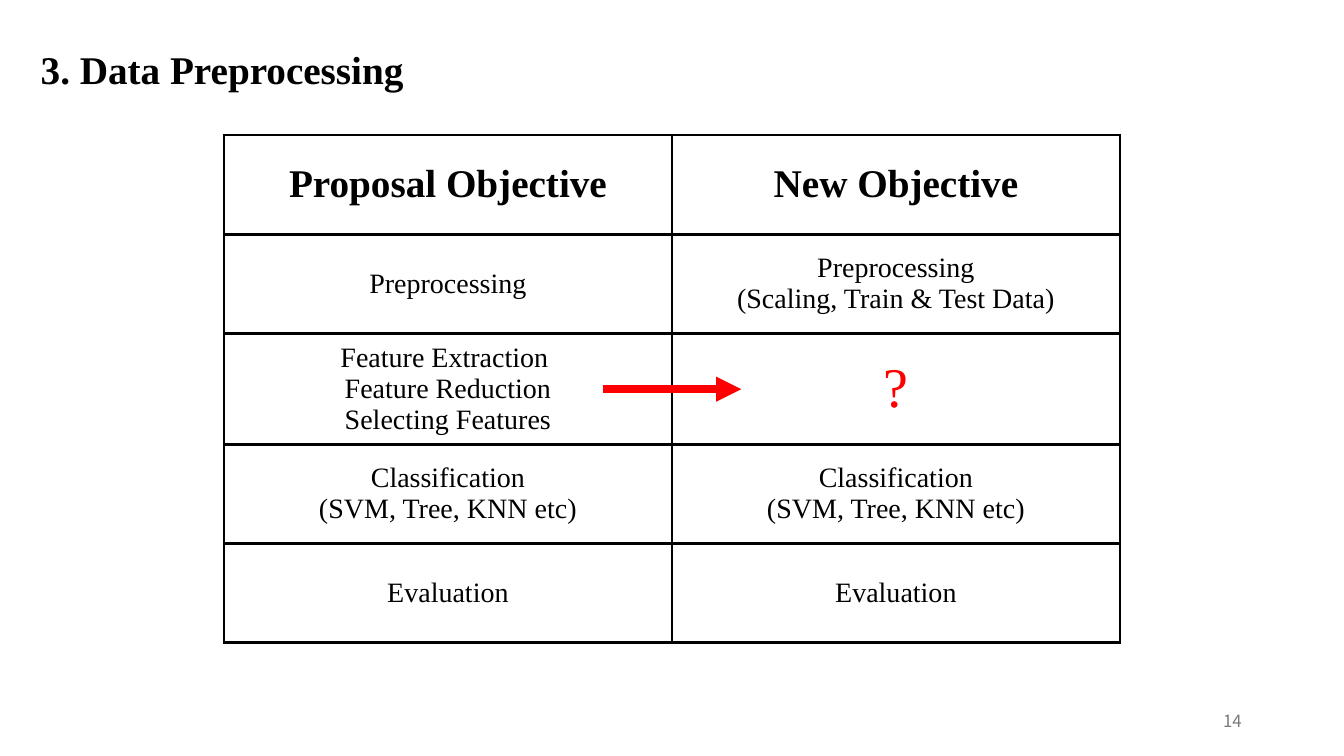
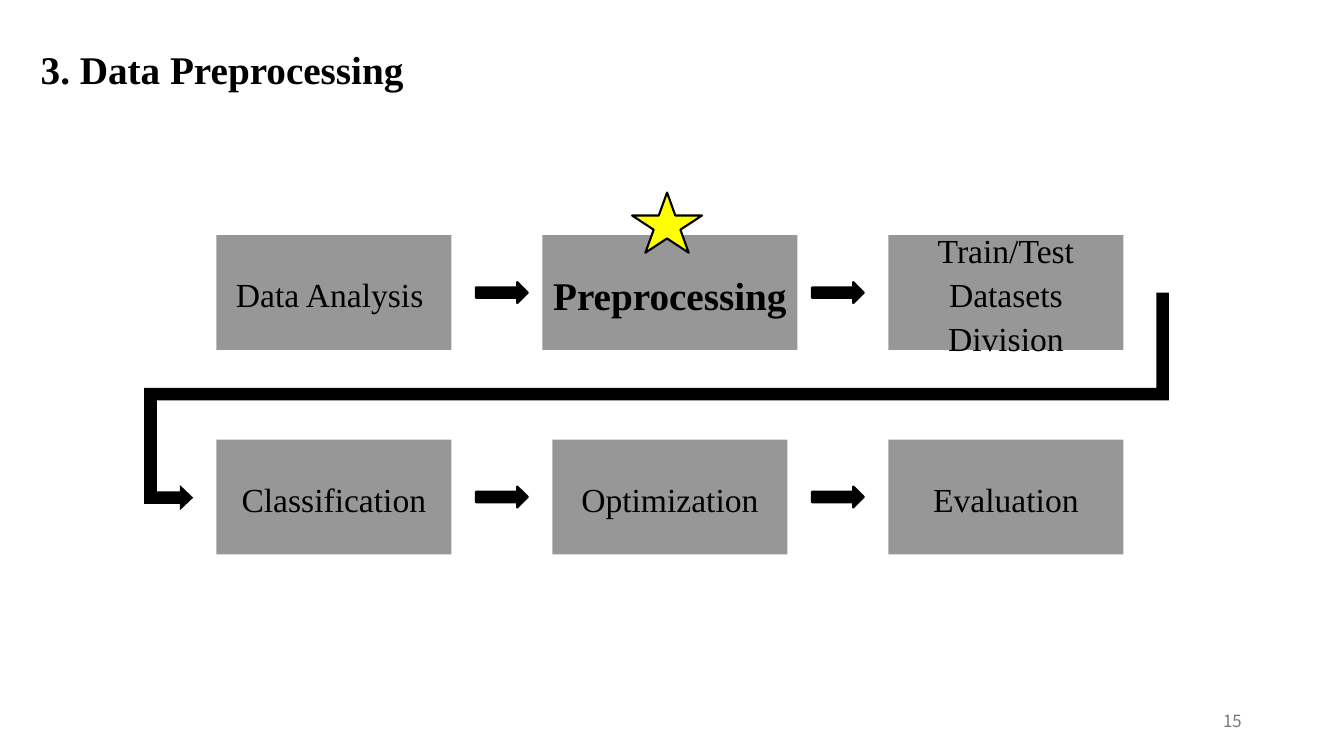
"""Builds two slides on data preprocessing: a table of goals and a flow chart."""
from dataclasses import dataclass

from lxml import etree
from pptx import Presentation
from pptx.dml.color import RGBColor
from pptx.enum.shapes import MSO_CONNECTOR, MSO_SHAPE
from pptx.enum.text import MSO_ANCHOR, PP_ALIGN
from pptx.oxml.ns import qn
from pptx.shapes.autoshape import Shape
from pptx.slide import Slide
from pptx.table import _Cell
from pptx.text.text import TextFrame
from pptx.util import Pt

RECT = MSO_SHAPE.RECTANGLE
ARROW = MSO_SHAPE.RIGHT_ARROW
STAR = MSO_SHAPE.STAR_5_POINT
STRAIGHT = MSO_CONNECTOR.STRAIGHT
TOP, MIDDLE = MSO_ANCHOR.TOP, MSO_ANCHOR.MIDDLE
LEFT, CENTER, RIGHT = PP_ALIGN.LEFT, PP_ALIGN.CENTER, PP_ALIGN.RIGHT


@dataclass(frozen=True)
class Theme:
    ink: str = "000000"
    paper: str = "FFFFFF"
    gray: str = "979797"
    pale: str = "797979"
    red: str = "FF0000"
    yellow: str = "FFFF00"
    font: str = "Times New Roman"
    sans: str = "Noto Sans CJK KR"
    head: float = 28
    step: float = 24
    body: float = 20
    mark: float = 40
    note: float = 12
    lead: float = 1.09
    edge: float = 1.5
    rule: float = 2.25
    thick: float = 6


@dataclass(frozen=True)
class Area:
    left: float
    top: float
    width: float
    height: float


@dataclass(frozen=True)
class Step:
    text: str
    col: int
    row: int
    width: float = 168
    bold: bool = False


THEME = Theme()
TITLE = "3. Data Preprocessing"
GOALS = (
    ("Proposal Objective", "New Objective"),
    ("Preprocessing", "Preprocessing\n(Scaling, Train & Test Data)"),
    ("Feature Extraction \nFeature Reduction\nSelecting Features", "?"),
    ("Classification\n(SVM, Tree, KNN etc)",) * 2,
    ("Evaluation",) * 2,
)
STEPS = (
    Step("Data Analysis ", 0, 0),
    Step("Preprocessing", 1, 0, width=182, bold=True),
    Step("Train/Test Datasets Division", 2, 0),
    Step("Classification", 0, 1),
    Step("Optimization", 1, 1),
    Step("Evaluation", 2, 1),
)
FIRST_X, STEP_X = 238.5, 240
FIRST_Y, STEP_Y = 209, 146
STEP_H = 82


def color(code: str) -> RGBColor:
    return RGBColor.from_string(code)


def write(frame: TextFrame, text: str, *, size: float, bold: bool = False,
          ink: str = THEME.ink, font: str = THEME.font,
          align: PP_ALIGN = CENTER, lead: float = THEME.lead) -> None:
    frame.word_wrap = True
    for index, line in enumerate(text.split("\n")):
        para = frame.paragraphs[0] if index == 0 else frame.add_paragraph()
        para.alignment = align
        para.line_spacing = lead
        run = para.add_run()
        run.text = line
        run.font.size = Pt(size)
        run.font.bold = bold
        run.font.name = font
        run.font.color.rgb = color(ink)


def add_text(slide: Slide, area: Area, text: str, anchor: MSO_ANCHOR,
             **style) -> None:
    box = slide.shapes.add_textbox(Pt(area.left), Pt(area.top),
                                   Pt(area.width), Pt(area.height))
    box.text_frame.vertical_anchor = anchor
    write(box.text_frame, text, **style)


def paint(shape: Shape, fill: str, edge: str | None = None) -> None:
    shape.shadow.inherit = False
    shape.fill.solid()
    shape.fill.fore_color.rgb = color(fill)
    if edge is None:
        shape.line.fill.background()
    else:
        shape.line.color.rgb = color(edge)
        shape.line.width = Pt(THEME.edge)


def add_shape(slide: Slide, kind: MSO_SHAPE, area: Area, fill: str,
              edge: str | None = None) -> Shape:
    shape = slide.shapes.add_shape(kind, Pt(area.left), Pt(area.top),
                                   Pt(area.width), Pt(area.height))
    paint(shape, fill, edge)
    return shape


def add_slide(deck: Presentation, number: int) -> Slide:
    slide = deck.slides.add_slide(deck.slide_layouts[6])
    add_text(slide, Area(22, 26, 383, 41), TITLE, TOP,
             size=THEME.head, bold=True, align=LEFT)
    add_text(slide, Area(678, 500, 216, 29), str(number), MIDDLE,
             size=THEME.note, ink=THEME.pale, font=THEME.sans,
             align=RIGHT, lead=1)
    return slide


def frame_cell(cell: _Cell) -> None:
    props = cell._tc.get_or_add_tcPr()
    for side in ("a:lnL", "a:lnR", "a:lnT", "a:lnB"):
        line = etree.SubElement(props, qn(side), w=str(Pt(THEME.rule)))
        fill = etree.SubElement(line, qn("a:solidFill"))
        etree.SubElement(fill, qn("a:srgbClr"), val=THEME.ink)
    cell.fill.solid()
    cell.fill.fore_color.rgb = color(THEME.paper)
    cell.vertical_anchor = MIDDLE


def add_goals(slide: Slide) -> None:
    col_w, row_h = 320, 70.8
    rows, cols = len(GOALS), len(GOALS[0])
    table = slide.shapes.add_table(rows, cols, Pt(160), Pt(96.5),
                                   Pt(cols * col_w), Pt(rows * row_h)).table
    table.first_row = table.horz_banding = False
    for r, goals in enumerate(GOALS):
        table.rows[r].height = Pt(row_h)
        for c, text in enumerate(goals):
            cell = table.cell(r, c)
            frame_cell(cell)
            if r == 0:
                style = {"size": THEME.head, "bold": True}
            elif text == "?":
                style = {"size": THEME.mark, "ink": THEME.red}
            else:
                style = {"size": THEME.body}
            write(cell.text_frame, text, lead=1, **style)


def add_link(slide: Slide, start: float, end: float, y: float) -> None:
    link = slide.shapes.add_connector(STRAIGHT, Pt(start), Pt(y), Pt(end), Pt(y))
    link.line.color.rgb = color(THEME.red)
    link.line.width = Pt(THEME.thick)
    props = link.element.spPr
    etree.SubElement(props.find(qn("a:ln")), qn("a:tailEnd"), type="triangle")
    etree.SubElement(props, qn("a:effectLst"))


def add_step(slide: Slide, step: Step) -> None:
    x = FIRST_X + step.col * STEP_X
    y = FIRST_Y + step.row * STEP_Y
    area = Area(x - step.width / 2, y - STEP_H / 2, step.width, STEP_H)
    box = add_shape(slide, RECT, area, THEME.gray)
    box.text_frame.vertical_anchor = MIDDLE
    write(box.text_frame, step.text, bold=step.bold,
          size=THEME.head if step.bold else THEME.step)
    if step.col < 2:
        mid = x + STEP_X / 2
        add_shape(slide, ARROW, Area(mid - 18.5, y - 7.5, 37, 15),
                  THEME.ink, THEME.ink)


def add_return(slide: Slide) -> None:
    left, right, thick = 103, 835, 9
    high, low = 277, 286
    y = FIRST_Y + STEP_Y + 0.5
    half, neck, tip = thick / 2, 128.5, 138
    spots = [
        (right, FIRST_Y), (right, low), (left + thick, low),
        (left + thick, y - half), (neck, y - half), (neck, y - thick),
        (tip, y), (neck, y + thick), (neck, y + half), (left, y + half),
        (left, high), (right - thick, high), (right - thick, FIRST_Y),
    ]
    spots = [(Pt(x), Pt(y)) for x, y in spots]
    path = slide.shapes.build_freeform(*spots[0])
    path.add_line_segments(spots[1:], close=True)
    paint(path.convert_to_shape(), THEME.ink)


def main() -> None:
    deck = Presentation()
    deck.slide_width, deck.slide_height = Pt(960), Pt(540)

    goals = add_slide(deck, 14)
    add_goals(goals)
    add_link(goals, 430.5, 529.5, 278)

    flow = add_slide(deck, 15)
    for step in STEPS:
        add_step(flow, step)
    add_return(flow)
    add_shape(flow, STAR, Area(451.5, 137.5, 50, 43), THEME.yellow, THEME.ink)

    deck.save("out.pptx")


if __name__ == "__main__":
    main()
